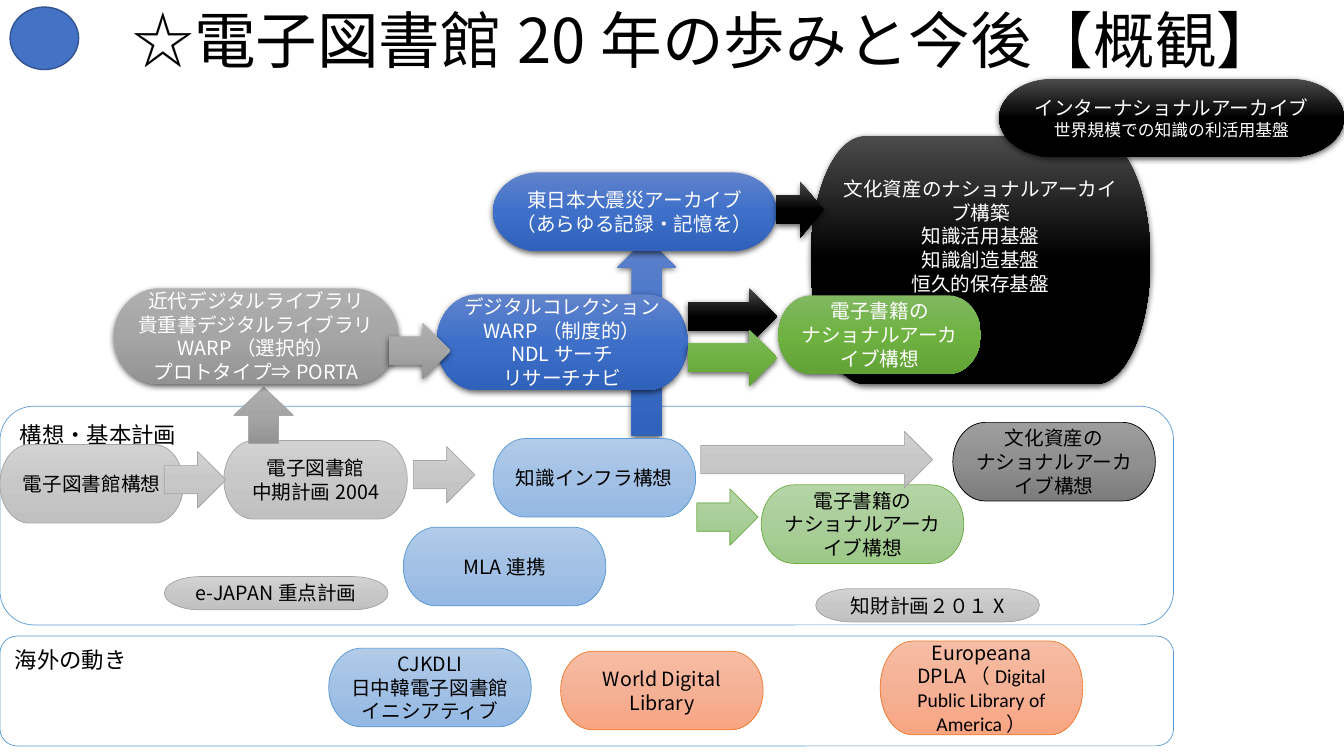
from copy import deepcopy
from typing import NamedTuple

from lxml import etree
from pptx import Presentation
from pptx.dml.color import RGBColor
from pptx.enum.shapes import MSO_SHAPE as Kind
from pptx.enum.text import MSO_ANCHOR as Anchor, MSO_AUTO_SIZE as AutoSize, PP_ALIGN as Align
from pptx.oxml.ns import qn
from pptx.util import Inches, Pt

WIDTH, HEIGHT = Inches(13.33), Inches(7.5)
COLUMNS, ROWS = 133.3, 75
GOTHIC, LATIN = "Noto Sans CJK JP", "Calibri"
NODE = (20.1, 7.8)
BADGE = (22.2, 3.3)
STEP = (6.1, 5.6)
RISE = 5.9


class Style(NamedTuple):
    stops: tuple
    line: str = ""  # a style without a line casts a shadow
    text: str = "000000"


PALE_GRAY = Style(("D2D2D2", "C8C8C8", "C0C0C0"), "A5A5A5")
PALE_BLUE = Style(("B1CBE9", "A3C1E5", "93B9E4"), "5B9BD5")
PALE_GREEN = Style(("B5D5A7", "AACE9A", "9CC987"), "70AD47")
PALE_ORANGE = Style(("F7BDA5", "F5B196", "F8A582"), "ED7D31")
PALE_BLACK = Style(("9D9D9D", "909090", "7C7C7C"), "000000")
GRAY = Style(("AFAFAF", "A5A5A5", "939393"), text="FFFFFF")
BLUE = Style(("6183CB", "3E70CA", "3062BB"), text="FFFFFF")
GREEN = Style(("81B861", "6FB242", "62A336"), text="FFFFFF")
BLACK = Style(("4B4B4B", "000000", "000000"), text="FFFFFF")


class Box(NamedTuple):
    """An area counted in grid columns and rows."""
    left: float
    top: float
    width: float
    height: float

    def inner(self, left, top, width, height):
        return Box(self.left + left, self.top + top, width, height)

    def lengths(self):
        column, row = WIDTH / COLUMNS, HEIGHT / ROWS
        return (round(self.left * column), round(self.top * row),
                round(self.width * column), round(self.height * row))


def color(value):
    return RGBColor.from_string(value)


def add_plain(page, kind, box, fill, line, weight):
    shape = page.shapes.add_shape(kind, *box.lengths())
    shape.shadow.inherit = False
    shape.fill.solid()
    shape.fill.fore_color.rgb = color(fill)
    shape.line.color.rgb = color(line)
    shape.line.width = Pt(weight)
    return shape


def add_shadow(shape):
    effects = shape.element.spPr.find(qn("a:effectLst"))
    outer = etree.SubElement(effects, qn("a:outerShdw"), blurRad=str(Pt(4.5)),
                             dist=str(Pt(1.5)), dir="5400000", rotWithShape="0")
    black = etree.SubElement(outer, qn("a:srgbClr"), val="000000")
    etree.SubElement(black, qn("a:alpha"), val="63000")


def add_shaded(page, kind, box, style):
    shape = page.shapes.add_shape(kind, *box.lengths())
    shape.shadow.inherit = False
    shape.fill.gradient()
    shape.fill.gradient_angle = 270
    first = shape.element.spPr.find(".//" + qn("a:gs"))
    first.addnext(deepcopy(first))
    for index, (stop, value) in enumerate(zip(shape.fill.gradient_stops, style.stops)):
        stop.position = index / 2
        stop.color.rgb = color(value)
    if style.line:
        shape.line.color.rgb = color(style.line)
        shape.line.width = Pt(0.5)
    else:
        shape.line.fill.background()
        add_shadow(shape)
    return shape


def add_run(para, text, size, text_color, font=GOTHIC):
    span = para.add_run()
    span.text = text
    for name, value in {"size": Pt(size), "name": font}.items():
        setattr(span.font, name, value)
    span.font.color.rgb = color(text_color)
    latin = span.font._element.find(qn("a:latin"))
    latin.addnext(etree.Element(qn("a:ea"), typeface=GOTHIC))


def add_node(page, box, style, *lines, anchor=Anchor.MIDDLE):
    """Each line is a string or a list of (text, size, font) runs."""
    frame = add_shaded(page, Kind.FLOWCHART_TERMINATOR, box, style).text_frame
    frame.word_wrap = True
    frame.vertical_anchor = anchor
    for index, line in enumerate(lines):
        para = frame.add_paragraph() if index else frame.paragraphs[0]
        para.alignment = Align.CENTER
        runs = [(line, 14, GOTHIC)] if isinstance(line, str) else line
        for text, size, font in runs:
            add_run(para, text, size, style.text, font)


def add_band(page, box, label):
    band = add_plain(page, Kind.ROUNDED_RECTANGLE, box, "FFFFFF", "5B9BD5", 0.5)
    band.adjustments[0] = 0.155
    frame = band.text_frame
    frame.word_wrap = True
    frame.vertical_anchor = Anchor.TOP
    para = frame.paragraphs[0]
    para.alignment = Align.LEFT
    for name, value in {"marL": Inches(0.38), "indent": -Inches(0.38)}.items():
        para._p.get_or_add_pPr().set(name, str(value))
    add_run(para, label, 16, "000000")


def header(page, box):
    title = page.shapes.title
    place = box.inner(7.8, 0.3, 124.4, 8.1).lengths()
    for name, value in zip(("left", "top", "width", "height"), place):
        setattr(title, name, value)
    frame = title.text_frame
    formats = {"auto_size": AutoSize.NONE, "word_wrap": True, "vertical_anchor": Anchor.MIDDLE}
    for name, value in formats.items():
        setattr(frame, name, value)
    para = frame.paragraphs[0]
    para.alignment = Align.CENTER
    para.line_spacing = 0.9
    add_run(para, "☆電子図書館20年の歩みと今後【概観】", 44, "000000")
    add_plain(page, Kind.OVAL, box.inner(1, 0.7, 6.8, 6.2), "4472C4", "325491", 1)


def overseas(page, box):
    add_band(page, box, "海外の動き")
    add_node(page, box.inner(87.3, 0.5, NODE[0], 9.3), PALE_ORANGE, "Europeana",
             [("DPLA", 14, GOTHIC), ("（Digital Public Library of America）", 14, LATIN)])
    add_node(page, box.inner(55.6, 1.5, *NODE), PALE_ORANGE, "World Digital Library")
    add_node(page, box.inner(32.6, 1.2, *NODE), PALE_BLUE, "CJKDLI", "日中韓電子図書館イニシアティブ")


def plans(page, box):
    add_band(page, box, "構想・基本計画")
    add_shaded(page, Kind.UP_ARROW, box.inner(61.2, -16.7, RISE, 19.7), BLUE)
    archive = ("ナショナルアーカイブ構想",)
    early = (18.2, NODE[1])
    nodes = [
        (0, 3.8, early, PALE_GRAY, "電子図書館構想"),
        (48.9, 3.2, NODE, PALE_BLUE, "知識インフラ構想"),
        (22.2, 3.4, early, PALE_GRAY, "電子図書館", "中期計画2004"),
        (75.5, 7.8, NODE, PALE_GREEN, "電子書籍の", *archive),
        (94.5, 1.6, NODE, PALE_BLACK, "文化資産の", *archive),
        (40, 12, NODE, PALE_BLUE, "MLA連携"),
        (80.9, 18.1, BADGE, PALE_GRAY, "知財計画２０１X"),
        (16.3, 16.9, BADGE, PALE_GRAY, "e-JAPAN重点計画"),
    ]
    for left, top, size, style, *lines in nodes:
        add_node(page, box.inner(left, top, *size), style, *lines)
    add_shaded(page, Kind.UP_ARROW, box.inner(23.2, -1.9, RISE, STEP[1]),
               GRAY._replace(line="A5A5A5"))
    for left, top, width, style in [(16.3, 4.5, STEP[0], PALE_GRAY), (41, 4, STEP[0], PALE_GRAY),
                                    (69.1, 8.2, STEP[0], PALE_GREEN), (69.5, 2.5, 23, PALE_GRAY)]:
        add_shaded(page, Kind.RIGHT_ARROW, box.inner(left, top, width, STEP[1]), style)


def systems(page, box):
    add_node(page, box.inner(11.3, 20.8, 28.2, 9.5), GRAY, "近代デジタルライブラリ",
             "貴重書デジタルライブラリ", "WARP（選択的）", "プロトタイプ⇒PORTA")
    add_node(page, box.inner(48.9, 9.3, 28.1, NODE[1]), BLUE,
             "東日本大震災アーカイブ", "（あらゆる記録・記憶を）")
    add_node(page, box.inner(80.4, 5.7, 33.7, 24.6), BLACK, "文化資産のナショナルアーカイブ構築",
             "知識活用基盤", "知識創造基盤", "恒久的保存基盤", anchor=Anchor.TOP)
    add_node(page, box.inner(77.2, 21.5, *NODE), GREEN, "電子書籍の", "ナショナルアーカイブ構想")
    add_node(page, box.inner(43.3, 21.4, 24.9, 9.5), BLUE, "デジタルコレクション",
             "WARP（制度的）", "NDLサーチ", "リサーチナビ")
    add_node(page, box.inner(99.1, 0, 34.2, NODE[1]), BLACK, "インターナショナルアーカイブ",
             [("世界規模での知識の利活用基盤", 12, GOTHIC)])
    for left, top, width, style in [(38.6, 24.2, STEP[0], GRAY), (68.2, 20.8, 8.9, BLACK),
                                    (68.2, 24.9, 8.9, GREEN), (77, 10.2, 4.7, BLACK)]:
        add_shaded(page, Kind.RIGHT_ARROW, box.inner(left, top, width, STEP[1]), style)


def main():
    deck = Presentation()
    deck.slide_width, deck.slide_height = WIDTH, HEIGHT
    page = deck.slides.add_slide(deck.slide_layouts[5])
    header(page, Box(0, 0, COLUMNS, 8.4))
    overseas(page, Box(0, 63.1, 116.4, 10.9))
    plans(page, Box(0, 40.3, 116.4, 21.7))
    systems(page, Box(0, 7.8, COLUMNS, 30.9))
    deck.save("out.pptx")


if __name__ == "__main__":
    main()
